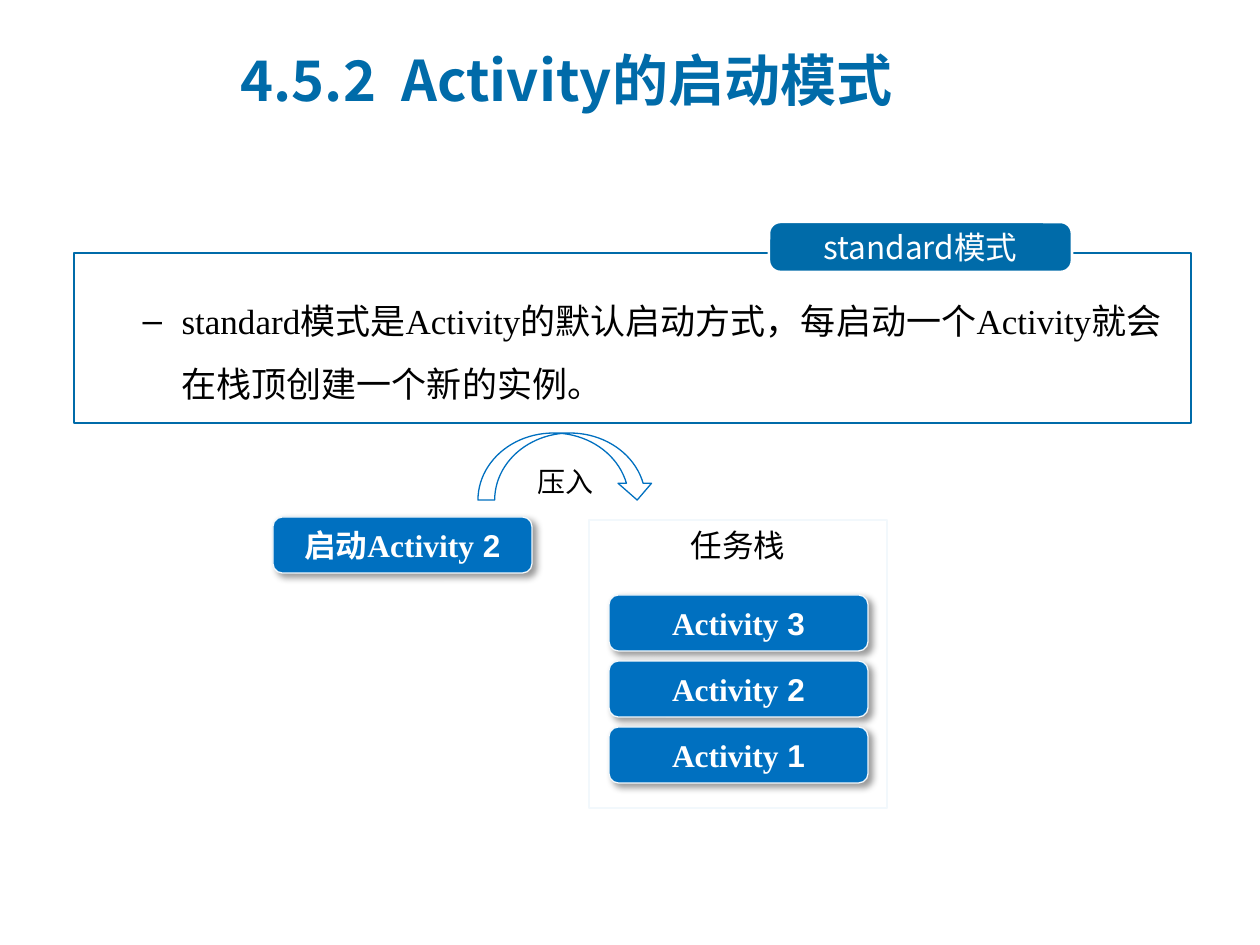
from dataclasses import dataclass

from lxml import etree
from pptx import Presentation
from pptx import util as u
from pptx.dml.color import RGBColor
from pptx.enum import shapes, text
from pptx.oxml import ns

SCALE = u.Inches(1) / 126
KIND = shapes.MSO_SHAPE
ALIGN = text.PP_ALIGN
ANCHOR = text.MSO_ANCHOR


def px(num):
    return u.Emu(round(num * SCALE))


@dataclass(frozen=True)
class Theme:
    deep: str = "006BA9"
    blue: str = "0070C0"
    pale: str = "F2F8FC"
    white: str = "FFFFFF"
    black: str = "000000"
    sans: str = "Noto Sans CJK SC"
    serif: str = "Times New Roman"
    plain: str = "Arial"
    head: int = 32
    body: int = 20
    label: int = 18
    note: int = 16


def assign(item, form):
    for name, value in form.items():
        setattr(item, name, value)


class Page:
    def __init__(self, deck, theme):
        self.theme = theme
        self.slide = deck.slides.add_slide(deck.slide_layouts[1])

    def place(self, shape, box):
        assign(shape, dict(zip(("left", "top", "width", "height"), map(px, box))))
        return shape

    def letter(self, shape, runs, size, color, bold=False, para=None, frame=None,
               indent=None):
        """Fill a shape with one paragraph of (text, font) runs."""
        area = shape.text_frame
        assign(area, {"word_wrap": True, "auto_size": text.MSO_AUTO_SIZE.NONE,
                      "vertical_anchor": ANCHOR.TOP, **(frame or {})})
        line = area.paragraphs[0]
        assign(line, para or {})
        if indent:
            props = line._p.get_or_add_pPr()
            for key, num in zip(("marL", "indent"), indent):
                props.set(key, str(px(num)))
        for words, face in runs:
            run = line.add_run()
            run.text = words
            assign(run.font, {"name": face, "size": u.Pt(size), "bold": bold})
            run.font.color.rgb = RGBColor.from_string(color)
            east = etree.SubElement(run.font._element, ns.qn("a:ea"))
            east.set("typeface", self.theme.sans)

    def title(self, box, words):
        t = self.theme
        shape = self.place(self.slide.shapes.title, box)
        self.letter(shape, [(words, t.sans)], t.head, t.deep, True,
                    {"alignment": ALIGN.LEFT}, {"vertical_anchor": ANCHOR.MIDDLE})

    def body(self, box, runs):
        t = self.theme
        shape = self.place(self.slide.placeholders[1], box)
        self.letter(shape, runs, t.body, t.black, indent=(102, -39),
                    para={"level": 1, "line_spacing": 1.5, "space_before": u.Pt(4)})

    def note(self, box, words):
        t = self.theme
        shape = self.slide.shapes.add_textbox(*map(px, box))
        self.letter(shape, [(words, t.sans)], t.note, t.black, indent=(63, 0),
                    para={"line_spacing": 1.5, "space_before": u.Pt(3)})

    def shape(self, kind, box, line, width, fill=None):
        shape = self.slide.shapes.add_shape(kind, *map(px, box))
        if fill:
            shape.fill.solid()
            shape.fill.fore_color.rgb = RGBColor.from_string(fill)
        else:
            shape.fill.background()
        shape.line.color.rgb = RGBColor.from_string(line)
        shape.line.width = u.Pt(width)
        shape.shadow.inherit = False
        return shape

    def label(self, shape, runs, color, bold=False, anchor=ANCHOR.MIDDLE):
        self.letter(shape, runs, self.theme.label, color, bold,
                    {"alignment": ALIGN.CENTER}, {"vertical_anchor": anchor})

    def button(self, left, top, runs):
        t = self.theme
        shape = self.shape(KIND.ROUNDED_RECTANGLE, (left, top, 259, 56),
                           t.pale, 0.75, t.blue)
        self.shade(shape)
        self.label(shape, runs, t.white, True)

    def shade(self, shape):
        effect = shape.element.spPr.find(ns.qn("a:effectLst"))
        outer = etree.SubElement(effect, ns.qn("a:outerShdw"), blurRad=str(u.Pt(4)),
                                 dist=str(u.Pt(3)), dir="2700000", rotWithShape="0")
        color = etree.SubElement(outer, ns.qn("a:srgbClr"), val=self.theme.black)
        etree.SubElement(color, ns.qn("a:alpha"), val="40000")


def main():
    t = Theme()
    deck = Presentation()
    assign(deck, {"slide_width": u.Inches(10), "slide_height": u.Inches(7.5)})
    page = Page(deck, t)

    # Title
    page.title((228, 26, 844, 106), "4.5.2  Activity的启动模式")

    # Framed definition with its tab
    page.shape(KIND.RECTANGLE, (74, 253, 1117, 170), t.deep, 1.5)
    tab = page.shape(KIND.ROUNDED_RECTANGLE, (769, 222, 303, 50), t.white, 1.5, t.deep)
    tab.adjustments[0] = 0.23
    page.label(tab, [("standard模式", t.sans)], t.white)
    page.body((67, 272, 1110, 136), [
        ("standard模式是Activity的默认启动方式，每启动一个Activity就会在栈顶创建一个新的实例",
         t.serif), ("。", t.plain)])

    # Task stack, newest activity on top
    stack = page.shape(KIND.RECTANGLE, (589, 520, 298, 288), t.pale, 1.5)
    page.label(stack, [("任务栈", t.plain)], t.black, anchor=ANCHOR.TOP)
    for row, num in enumerate((3, 2, 1)):
        page.button(609, 595 + 66 * row, [("Activity", t.serif), (f" {num}", t.plain)])

    # Launch request pushed onto the stack
    page.button(273, 517, [("启动", t.plain), ("Activity", t.serif), (" 2", t.plain)])
    page.shape(KIND.CURVED_DOWN_ARROW, (478, 433, 176, 67), t.blue, 0.75)
    page.note((462, 442, 146, 49), "压入")

    deck.save("out.pptx")


if __name__ == "__main__":
    main()
